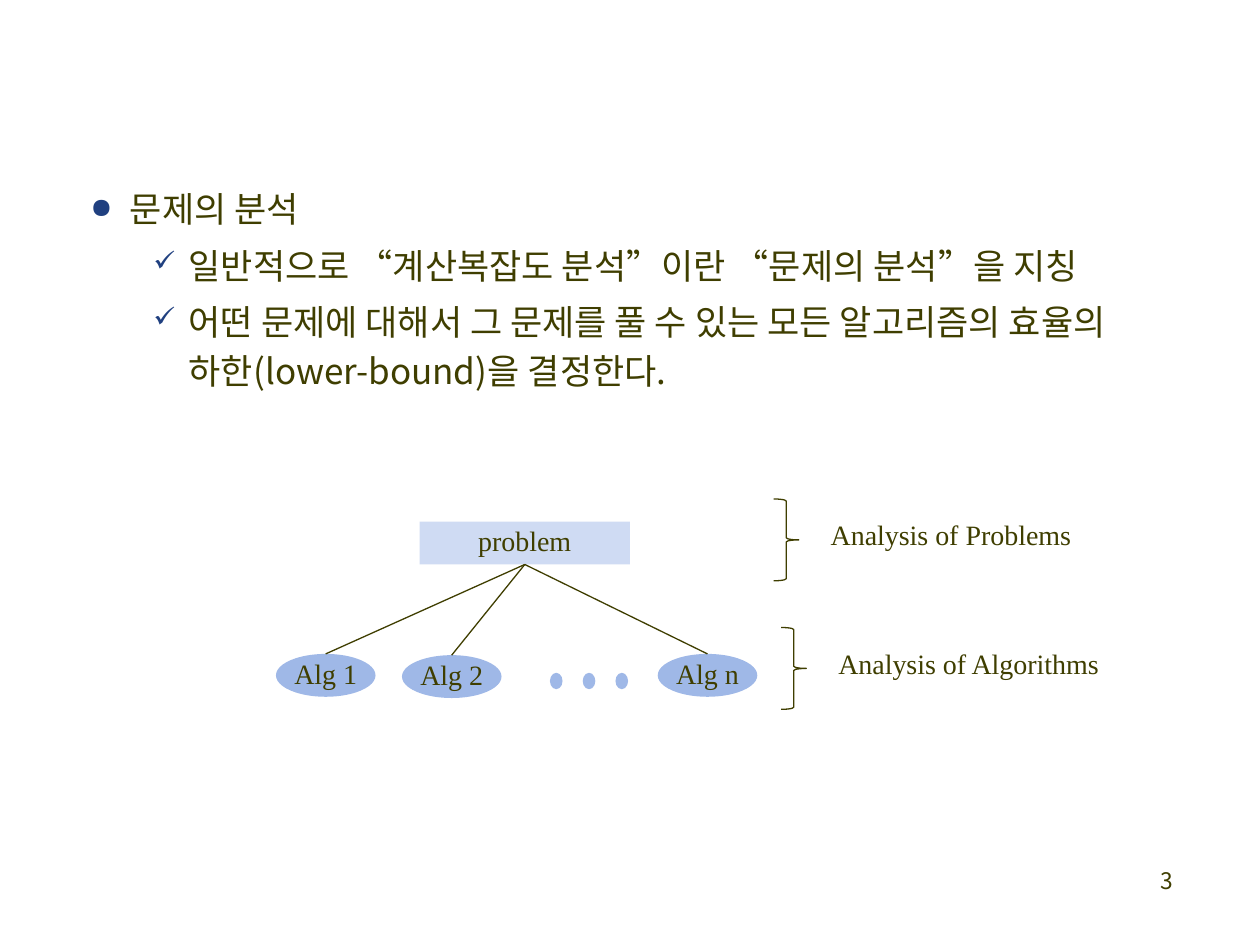
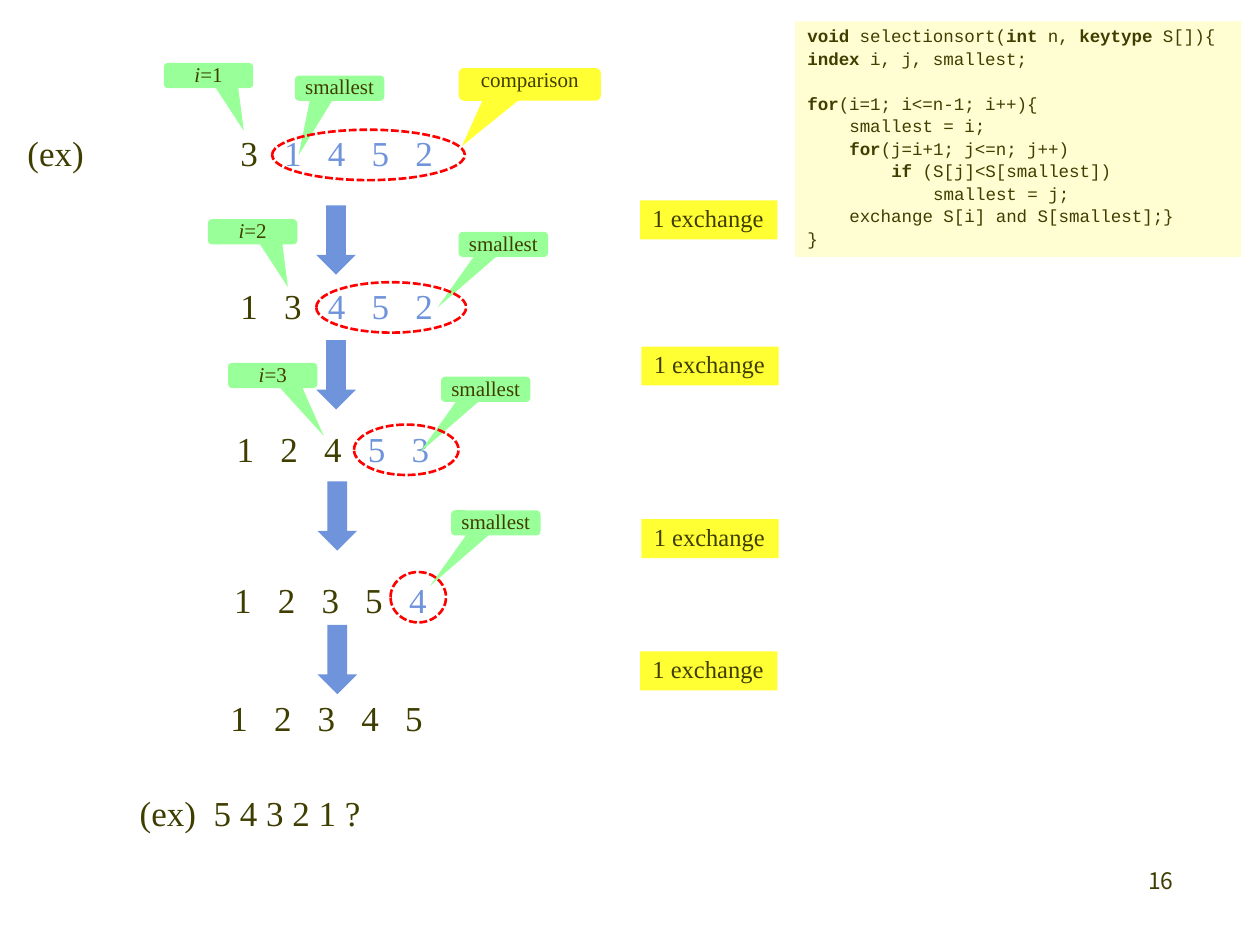
from dataclasses import dataclass
from typing import NamedTuple, Optional

from lxml.etree import SubElement
from pptx import Presentation
from pptx.dml.color import RGBColor
from pptx.enum.dml import MSO_LINE
from pptx.enum.shapes import MSO_CONNECTOR, MSO_SHAPE as Preset
from pptx.enum.text import MSO_ANCHOR, PP_ALIGN as Align
from pptx.oxml.ns import qn
from pptx.util import Inches, Length, Pt

# Grid: 100 columns by 75 rows of square cells
COLUMNS, ROWS = 100, 75
WIDTH, HEIGHT = Inches(10), Inches(7.5)
CELL = WIDTH / COLUMNS

COLORS = {
    "text": "3F3E00", "bullet": "204080", "problem": "CFDBF3",
    "algorithm": "9FB8E7", "step": "7094DC", "marker": "99FF99",
    "highlight": "FFFF33", "code": "FFFED2", "ring": "FF0000",
}
SERIF, KOREAN, MONO = "Times New Roman", "Noto Sans CJK KR", "Courier New"


class Box(NamedTuple):
    column: float
    row: float
    columns: float
    rows: float


class Piece(NamedTuple):
    text: str
    color: str = "text"
    bold: bool = False
    italic: bool = False
    tracking: int = 0  # extra points after each letter


@dataclass
class Line:
    """One paragraph and its spacing."""
    pieces: list[Piece]
    size: float = 16
    font: str = SERIF
    align: Align = Align.LEFT
    spacing: float | Length = 0.9
    before: Optional[Length] = None
    margin: float = 0
    hanging: float = 0
    bullet: str = ""


@dataclass
class Callout:
    box: Box
    tip: tuple[float, float]
    pieces: list[Piece]
    fill: str = "marker"


@dataclass
class Numbers:
    """A row of numbers: the first `done` are settled, the rest are searched."""
    column: float
    row: float
    values: str
    done: int
    ring: Optional[Box] = None


def cells(count: float) -> Length:
    return Length(round(count * CELL))


def rgb(name: str) -> RGBColor:
    return RGBColor.from_string(COLORS[name])


# Text
def format_paragraph(paragraph, line: Line) -> None:
    paragraph.text = line.pieces[0].text
    for piece in line.pieces[1:]:
        paragraph.add_run().text = piece.text
    for run, piece in zip(paragraph.runs, line.pieces):
        font = run.font
        font.size, font.name = Pt(line.size), line.font
        font.bold, font.italic = piece.bold, piece.italic
        font.color.rgb = rgb(piece.color)
        properties = run._r.get_or_add_rPr()
        SubElement(properties, qn("a:ea"), typeface=line.font)
        if piece.tracking:
            properties.set("spc", str(piece.tracking * 100))
    paragraph.alignment = line.align
    paragraph.line_spacing = line.spacing
    properties = paragraph._p.get_or_add_pPr()
    if line.before is None:
        before = SubElement(properties, qn("a:spcBef"))
        SubElement(before, qn("a:spcPct"), val="20000")
    else:
        paragraph.space_before = line.before
    properties.set("marL", str(cells(line.margin)))
    properties.set("indent", str(-cells(line.hanging)))
    if line.bullet:
        color = SubElement(properties, qn("a:buClr"))
        SubElement(color, qn("a:srgbClr"), val=COLORS["bullet"])
        SubElement(properties, qn("a:buSzPct"), val="80000")
        SubElement(properties, qn("a:buChar"), char=line.bullet)


def write(shape, lines: list[Line], inset: float = 1) -> None:
    frame = shape.text_frame
    frame.word_wrap = True
    frame.vertical_anchor = MSO_ANCHOR.TOP
    frame.margin_left = frame.margin_right = cells(inset)
    frame.margin_top = frame.margin_bottom = cells(inset / 2)
    for index, line in enumerate(lines):
        paragraph = frame.add_paragraph() if index else frame.paragraphs[0]
        format_paragraph(paragraph, line)


def add_text(slide, box: Box, lines: list[Line]) -> None:
    write(slide.shapes.add_textbox(*map(cells, box)), lines)


# Shapes
def add_preset(slide, preset: Preset, box: Box, fill: str = "", line: str = "",
               width: float = 0.75, adjust: tuple[float, ...] = ()):
    shape = slide.shapes.add_shape(preset, *map(cells, box))
    shape.shadow.inherit = False
    if fill:
        shape.fill.solid()
        shape.fill.fore_color.rgb = rgb(fill)
    else:
        shape.fill.background()
    if line:
        shape.line.color.rgb = rgb(line)
        shape.line.width = Pt(width)
    else:
        shape.line.fill.background()
    for index, value in enumerate(adjust):
        shape.adjustments[index] = value
    return shape


def connect(slide, parent, child) -> None:
    connector = slide.shapes.add_connector(MSO_CONNECTOR.STRAIGHT, 0, 0, 0, 0)
    connector.begin_connect(parent, 2)
    connector.end_connect(child, 0)
    connector.line.color.rgb = rgb("text")
    connector.line.width = Pt(0.75)
    SubElement(connector._element.spPr, qn("a:effectLst"))


def add_callout(slide, callout: Callout) -> None:
    shape = add_preset(slide, Preset.ROUNDED_RECTANGULAR_CALLOUT, callout.box,
                       callout.fill, adjust=(*callout.tip, 0.167))
    write(shape, [Line(callout.pieces, 12, align=Align.CENTER)], inset=0)


def add_numbers(slide, numbers: Numbers) -> None:
    split = 2 * numbers.done  # each number takes a digit and a space
    parts = ((numbers.values[:split], "text"), (numbers.values[split:], "step"))
    pieces = [Piece(text, color, tracking=5) for text, color in parts if text]
    add_text(slide, Box(numbers.column, numbers.row, 20, 4), [Line(pieces, 20)])


def new_slide(presentation, number: int):
    slide = presentation.slides.add_slide(presentation.slide_layouts[6])
    add_text(slide, Box(73.3, 68.3, 20.8, 5),
             [Line([Piece(str(number))], 13, KOREAN, Align.RIGHT, 1.0)])
    return slide


# Slide 3: analysis of problems
def build_problem_slide(presentation) -> None:
    slide = new_slide(presentation, 3)
    points = ["일반적으로 “계산복잡도 분석”이란 “문제의 분석”을 지칭",
              "어떤 문제에 대해서 그 문제를 풀 수 있는 모든 알고리즘의 효율의 "
              "하한(lower-bound)을 결정한다."]
    lines = [Line([Piece(" 문제의 분석")], 20, KOREAN, margin=2.5, hanging=2.5, bullet="●")]
    lines += [Line([Piece(point)], 20, KOREAN, spacing=Pt(28), margin=7.8,
                   hanging=2.8, bullet="✓") for point in points]
    add_text(slide, Box(6.2, 14.8, 88.3, 20.9), lines)

    # Tree of the problem and its algorithms
    problem = add_preset(slide, Preset.RECTANGLE, Box(33.3, 41.4, 16.7, 3.4), "problem")
    write(problem, [Line([Piece("problem")], align=Align.CENTER)])
    for name, column, row in (("Alg 1", 21.9, 51.9), ("Alg 2", 31.9, 52), ("Alg n", 52.2, 51.9)):
        algorithm = add_preset(slide, Preset.OVAL, Box(column, row, 7.9, 3.4), "algorithm")
        write(algorithm, [Line([Piece(name)], align=Align.CENTER)], inset=0)
        connect(slide, problem, algorithm)
    for index in range(3):
        add_preset(slide, Preset.OVAL, Box(43.65 + 2.6 * index, 53.4, 1, 1.3), "algorithm")

    # Levels of analysis
    for name, column, row, columns in (("Analysis of Problems", 61.4, 39.6, 21.4),
                                       ("Analysis of Algorithms", 62, 49.8, 23)):
        add_preset(slide, Preset.RIGHT_BRACE, Box(column, row, 2, 6.5),
                   line="text", adjust=(0.083, 0.5))
        add_text(slide, Box(column + 3.55, row + 1.3, columns, 3.4), [Line([Piece(name)])])


# Slide 16: selection sort
NUMBER_ROWS = [
    Numbers(18.1, 10.3, "3 1 4 5 2", 1, Box(21.6, 10.3, 15.3, 4)),
    Numbers(18.1, 22.5, "1 3 4 5 2", 2, Box(25.1, 22.4, 11.9, 4)),
    Numbers(17.8, 33.8, "1 2 4 5 3", 3, Box(28.1, 33.7, 8.3, 4)),
    Numbers(17.6, 45.8, "1 2 3 5 4", 4, Box(31, 45.4, 4.4, 4)),
    Numbers(17.3, 55.2, "1 2 3 4 5", 5),
]
INDEX_MARKERS = [(13, 5, (0.395, 2.195)), (16.5, 17.4, (0.395, 2.195)),
                 (18.1, 28.8, (0.571, 2.402))]
SMALLEST_MARKERS = [(23.4, 6, (-0.458, 2.661)), (36.4, 18.4, (-0.737, 2.506)),
                    (35, 29.9, (-0.737, 2.506)), (35.8, 40.5, (-0.737, 2.506))]
EXCHANGES = [(50.8, 15.9), (50.9, 27.5), (50.9, 41.2), (50.8, 51.7)]
ARROWS = [(25.1, 16.3), (25.1, 27), (25.2, 38.2), (25.2, 49.6)]

# Indent level and text; "|" switches between bold and regular
CODE = [
    (0, "void| selectionsort(|int| n, |keytype| S[]){"),
    (0, "index| i, j, smallest;"),
    (0, "for|(i=1; i<=n-1; i++){"),
    (1, "|smallest = i;"),
    (1, "for|(j=i+1; j<=n; j++)"),
    (2, "if| (S[j]<S[smallest])"),
    (3, "|smallest = j;"),
    (1, "|exchange S[i] and S[smallest];}"),
    (0, "|}"),
]
LOOP_START = 2


def code_line(index: int, level: int, source: str) -> Line:
    pieces = [Piece(text, bold=part % 2 == 0)
              for part, text in enumerate(source.split("|")) if text]
    before = Pt(15) if index == LOOP_START else None
    return Line(pieces, 10, MONO, margin=level * 3.33, before=before)


def build_sort_slide(presentation) -> None:
    slide = new_slide(presentation, 16)
    add_text(slide, Box(1.2, 10.3, 8, 4), [Line([Piece("(ex)")], 20)])
    for numbers in NUMBER_ROWS:
        add_numbers(slide, numbers)
    exercise = [Piece("(ex)"), Piece(" ", tracking=5), Piece("5 4 3 2 1 ?")]
    add_text(slide, Box(10.1, 62.7, 21, 4), [Line(exercise, 20)])

    # Callouts
    callouts = [Callout(Box(column, row, 7.1, 2), tip, [Piece("smallest")])
                for column, row, tip in SMALLEST_MARKERS]
    callouts += [Callout(Box(column, row, 7.1, 2), tip,
                         [Piece("i", italic=True), Piece(f"={number}")])
                 for number, (column, row, tip) in enumerate(INDEX_MARKERS, 1)]
    callouts.append(Callout(Box(36.4, 5.4, 11.3, 2.6), (-0.476, 1.884),
                            [Piece("comparison")], "highlight"))
    for callout in callouts:
        add_callout(slide, callout)

    # Exchanges, step arrows and search rings
    for column, row in EXCHANGES:
        label = add_preset(slide, Preset.RECTANGLE, Box(column, row, 10.9, 3.1), "highlight")
        write(label, [Line([Piece("1 exchange")], 14)])
    for column, row in ARROWS:
        add_preset(slide, Preset.DOWN_ARROW, Box(column, row, 3.15, 5.5), "step")
    for numbers in NUMBER_ROWS:
        if numbers.ring:
            ring = add_preset(slide, Preset.OVAL, numbers.ring, line="ring", width=1.5)
            ring.line.dash_style = MSO_LINE.SQUARE_DOT

    # Source code
    panel = add_preset(slide, Preset.RECTANGLE, Box(63.1, 1.7, 35.4, 18.7), "code")
    write(panel, [code_line(index, *entry) for index, entry in enumerate(CODE)])


def main() -> None:
    presentation = Presentation()
    presentation.slide_width, presentation.slide_height = WIDTH, HEIGHT
    build_problem_slide(presentation)
    build_sort_slide(presentation)
    presentation.save("out.pptx")


if __name__ == "__main__":
    main()
